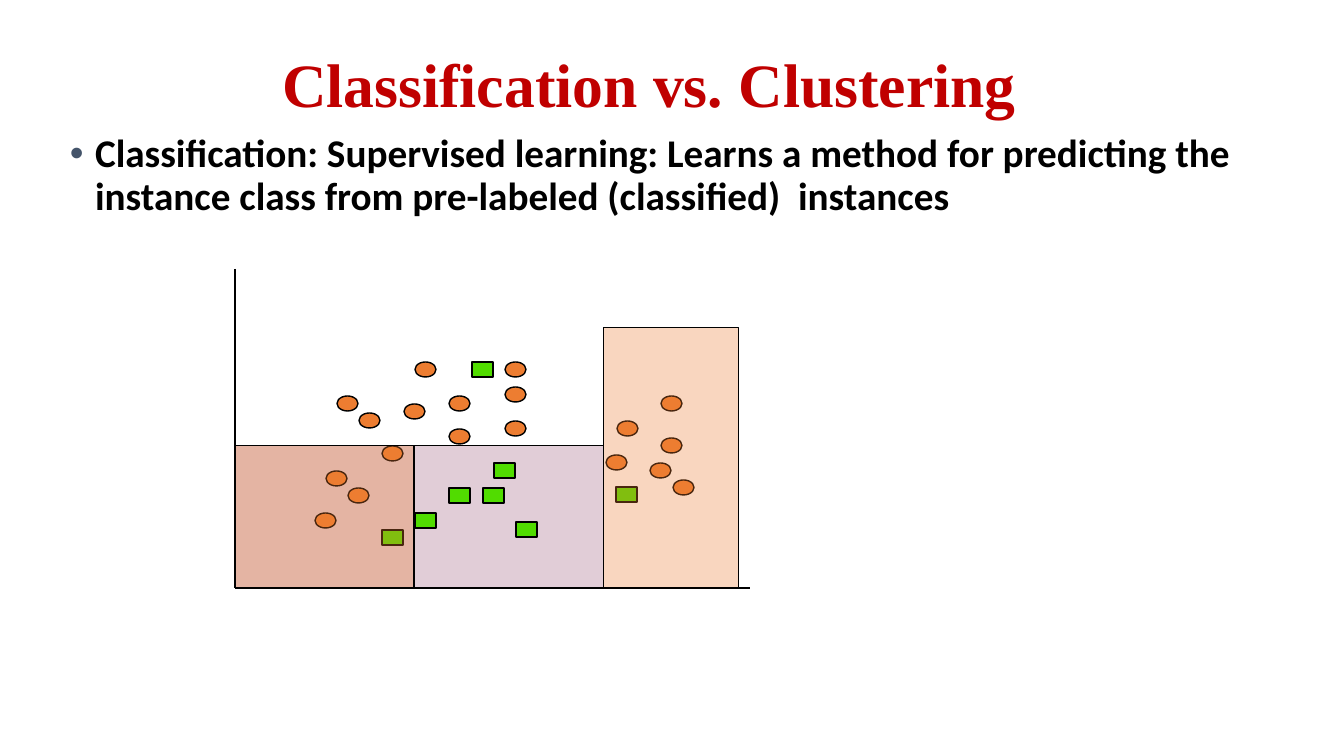
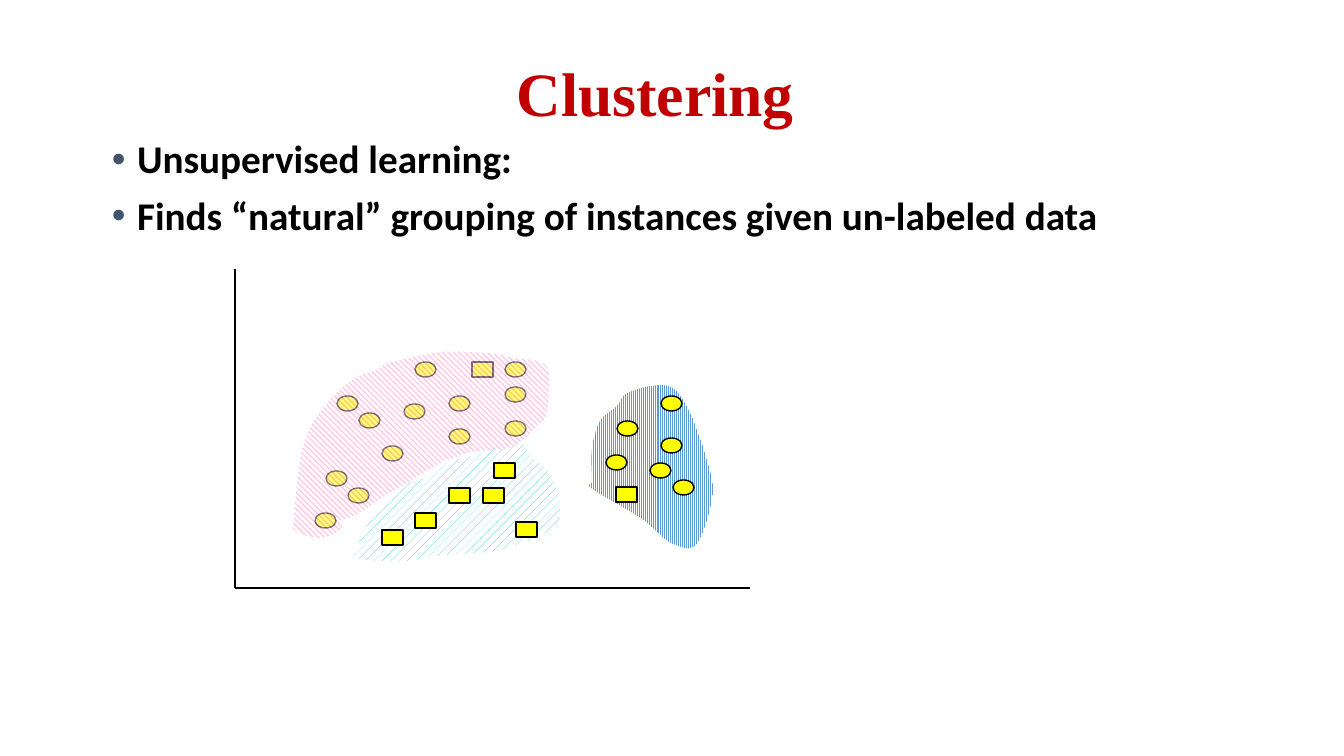
from lxml import etree
from pptx import Presentation
from pptx.dml.color import RGBColor
from pptx.enum.dml import MSO_PATTERN
from pptx.enum.shapes import MSO_CONNECTOR, MSO_SHAPE
from pptx.enum.text import MSO_ANCHOR, MSO_AUTO_SIZE, PP_ALIGN
from pptx.oxml.ns import qn
from pptx.util import Emu, Pt

PX = 914400 / 100.8
RECT, OVAL = MSO_SHAPE.RECTANGLE, MSO_SHAPE.OVAL
STRAIGHT = MSO_CONNECTOR.STRAIGHT
CENTER, BOTTOM = PP_ALIGN.CENTER, MSO_ANCHOR.BOTTOM
GROW = MSO_AUTO_SIZE.SHAPE_TO_FIT_TEXT
UP_DASH = MSO_PATTERN.DASHED_UPWARD_DIAGONAL
VERTICAL = MSO_PATTERN.LIGHT_VERTICAL
DOWN_WIDE = MSO_PATTERN.WIDE_DOWNWARD_DIAGONAL

COLORS = {
    "title": "C00000", "text": "000000", "bullet": "44546A", "line": "000000",
    "orange": "ED7D31", "green": "51DC00", "plum": "954F72", "yellow": "FFFF00",
    "teal": "33CCCC", "blue": "5B9BD5", "pink": "FF99CC", "white": "FFFFFF",
}
PLOT = (235, 269, 515, 319)
MARK = (21, 15)

SQUARES = [
    (214, 219), (259, 194), (248, 219), (281, 253), (381, 218),
    (180, 244), (147, 261), (237, 93),
]
CIRCLES = [
    (102, 127), (124, 144), (169, 135), (214, 127), (91, 202), (270, 93),
    (147, 177), (214, 160), (270, 152), (113, 219), (80, 244), (180, 93),
    (270, 118), (426, 127), (382, 152), (371, 186), (415, 194), (438, 211),
    (426, 169),
]
LOWER_CLUSTER = [
    (121, 281), (137, 247), (159, 224), (178, 212), (189, 209), (213, 193),
    (236, 187), (270, 175), (288, 176), (298, 189), (311, 200), (319, 214),
    (325, 235), (318, 259), (265, 281), (201, 287), (173, 292), (123, 290),
]
RIGHT_CLUSTER = [
    (357, 212), (357, 180), (365, 152), (382, 137), (391, 125), (416, 117),
    (438, 119), (454, 141), (465, 169), (470, 184), (478, 224), (462, 275),
    (438, 275), (420, 261), (404, 248), (356, 219),
]
UPPER_CLUSTER = [
    (59, 249), (68, 177), (91, 135), (119, 110), (141, 101), (157, 93),
    (208, 83), (262, 85), (278, 89), (305, 93), (314, 105), (312, 144),
    (303, 156), (277, 178), (237, 183), (219, 189), (202, 196), (162, 220),
    (150, 227), (121, 246), (104, 252), (107, 260), (85, 269), (61, 262),
]


def px(n):
    return Emu(round(n * PX))


def rgb(name):
    return RGBColor.from_string(COLORS[name])


def set_alpha(sp, percent):
    for clr in sp._element.spPr.iter(qn("a:srgbClr")):
        etree.SubElement(clr, qn("a:alpha"), val=str(percent * 1000))


def add_text(s, box, lines, font, size, color):
    tf = s.shapes.add_textbox(*map(px, box)).text_frame
    tf.word_wrap = True
    for i, line in enumerate(lines):
        p = tf.paragraphs[0] if i == 0 else tf.add_paragraph()
        p.text = line
        p.line_spacing = 0.9
        p.font.name, p.font.size, p.font.bold = font, Pt(size), True
        p.font.color.rgb = rgb(color)
    return tf


def add_title(s, box, text):
    tf = add_text(s, box, [text], "Times New Roman", 44, "title")
    tf.vertical_anchor = BOTTOM
    tf.paragraphs[0].alignment = CENTER


def add_bullets(s, box, lines):
    tf = add_text(s, box, lines, "Calibri", 28, "text")
    tf.auto_size = GROW
    for p in tf.paragraphs:
        p.space_before = Pt(10)
        pPr = p._p.get_or_add_pPr()
        pPr.set("marL", "228600")
        pPr.set("indent", "-228600")
        clr = etree.Element(qn("a:buClr"))
        etree.SubElement(clr, qn("a:srgbClr"), val=COLORS["bullet"])
        font = etree.Element(qn("a:buFont"), typeface="Arial")
        char = etree.Element(qn("a:buChar"), char="•")
        defaults = pPr.find(qn("a:defRPr"))
        for el in (clr, font, char):
            defaults.addprevious(el)


def add_box(s, kind, plot, box, color, weight, alpha=None):
    x, y, w, h = box
    sp = s.shapes.add_shape(kind, px(plot[0] + x), px(plot[1] + y), px(w), px(h))
    sp.shadow.inherit = False
    sp.fill.solid()
    sp.fill.fore_color.rgb = rgb(color)
    if alpha:
        set_alpha(sp, alpha)
    sp.line.color.rgb = rgb("line")
    sp.line.width = Pt(weight)


def add_axes(s, plot):
    x, y, w, h = plot
    for ends in ((x, y, x, y + h), (x, y + h, x + w, y + h)):
        axis = s.shapes.add_connector(STRAIGHT, *map(px, ends))
        axis.line.color.rgb = rgb("line")
        axis.line.width = Pt(1)
        etree.SubElement(axis._element.spPr, qn("a:effectLst"))


def add_marks(s, plot, square_color, circle_color):
    for kind, points, color in ((RECT, SQUARES, square_color),
                                (OVAL, CIRCLES, circle_color)):
        for point in points:
            add_box(s, kind, plot, point + MARK, color, 1)


def curve_points(points):
    n = len(points)
    controls = []
    for i in range(n):
        a, b, c, d = (points[(i + k) % n] for k in (-1, 0, 1, 2))
        controls.append(tuple(b[j] + (c[j] - a[j]) / 6 for j in (0, 1)))
        controls.append(tuple(c[j] - (d[j] - b[j]) / 6 for j in (0, 1)))
        controls.append(c)
    return controls


def lines_to_curves(sp):
    segments = list(sp._element.spPr.iter(qn("a:lnTo")))
    for i in range(0, len(segments), 3):
        curve = etree.Element(qn("a:cubicBezTo"))
        segments[i].addprevious(curve)
        for segment in segments[i:i + 3]:
            curve.append(segment[0])
            segment.getparent().remove(segment)


def add_cluster(s, plot, points, pattern, color, alpha=None):
    outline = [(px(plot[0] + x), px(plot[1] + y))
               for x, y in points[:1] + curve_points(points)]
    fb = s.shapes.build_freeform(*outline[0])
    fb.add_line_segments(outline[1:], close=True)
    sp = fb.convert_to_shape()
    lines_to_curves(sp)
    sp.shadow.inherit = False
    sp.fill.patterned()
    sp.fill.pattern = pattern
    sp.fill.fore_color.rgb = rgb(color)
    sp.fill.back_color.rgb = rgb("white")
    if alpha:
        set_alpha(sp, alpha)
    sp.line.fill.background()


def classification_slide(s):
    add_box(s, RECT, PLOT, (0, 177, 369, 142), "plum", 0.75, 28)
    add_title(s, (44, 0, 1211, 126), "Classification vs. Clustering")
    add_axes(s, PLOT)
    add_marks(s, PLOT, "green", "orange")
    add_bullets(s, (60, 129, 1205, 96), [
        "Classification: Supervised learning: Learns a method for predicting the "
        "instance class from pre-labeled (classified)  instances"])
    for region in ((369, 59, 135, 260), (0, 177, 179, 142)):
        add_box(s, RECT, PLOT, region, "orange", 0.75, 31)


def clustering_slide(s):
    add_cluster(s, PLOT, LOWER_CLUSTER, UP_DASH, "teal")
    add_cluster(s, PLOT, RIGHT_CLUSTER, VERTICAL, "blue")
    add_title(s, (68, 30, 1175, 105), "Clustering")
    add_axes(s, PLOT)
    add_marks(s, PLOT, "yellow", "yellow")
    add_bullets(s, (102, 135, 1185, 110), [
        "Unsupervised learning:",
        "Finds “natural” grouping of instances given un-labeled data"])
    add_cluster(s, PLOT, UPPER_CLUSTER, DOWN_WIDE, "pink", 50)


def main():
    prs = Presentation()
    prs.slide_width, prs.slide_height = px(1344), px(756)
    for build in (classification_slide, clustering_slide):
        build(prs.slides.add_slide(prs.slide_layouts[6]))
    prs.save("out.pptx")


if __name__ == "__main__":
    main()
